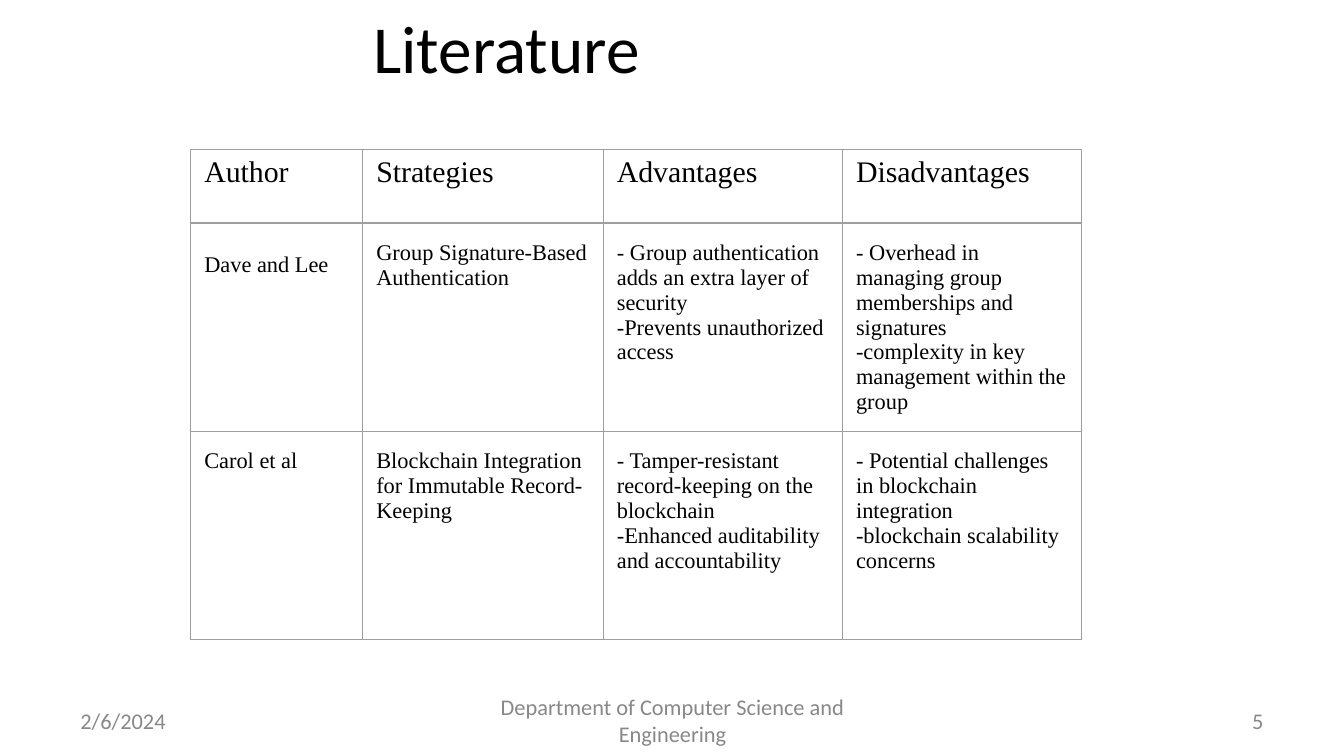
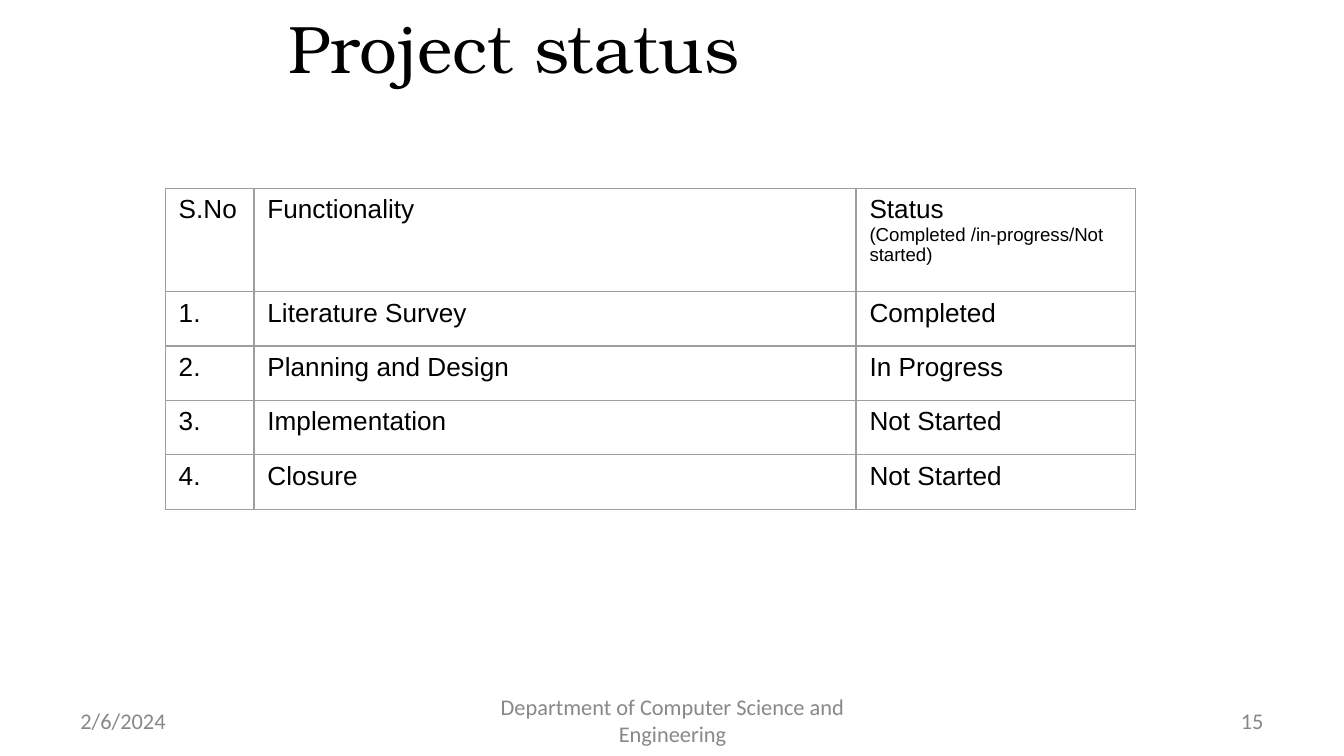
from lxml import etree
from pptx import Presentation
from pptx import util as u
from pptx.dml.color import RGBColor
from pptx.enum import text
from pptx.oxml.ns import qn

COLORS = {"text": "000000", "footer": "888888", "border": "9E9E9E"}
BORDER_WIDTH = 0.75
SLIDE_WIDTH = 10
SLIDE_HEIGHT = SLIDE_WIDTH * 9 / 16
TITLE_BOX = (0.48, 0, 6.69, 0.69)
FOOTER_TOP, FOOTER_HEIGHT = 5.21, 0.3
DATE = "2/6/2024"
DEPARTMENT = "Department of Computer Science and Engineering"
LEFT, CENTER, RIGHT = (text.PP_ALIGN.LEFT, text.PP_ALIGN.CENTER, text.PP_ALIGN.RIGHT)

LITERATURE_ROWS = [
    ["Author", "Strategies", "Advantages", "Disadvantages"],
    ["Dave and Lee",
     "Group Signature-Based Authentication",
     "- Group authentication adds an extra layer of security\n"
     "-Prevents unauthorized access",
     "- Overhead in managing group memberships and signatures\n"
     "-complexity in key management within the group"],
    ["Carol et al",
     "Blockchain Integration for Immutable Record-\nKeeping",
     "- Tamper-resistant record-keeping on the blockchain\n"
     "-Enhanced auditability and accountability",
     "- Potential challenges in blockchain integration\n"
     "-blockchain scalability concerns"],
]

STATUS_ROWS = [
    ["S.No", "Functionality", "Status\n(Completed /in-progress/Not started)"],
    ["1.", "Literature Survey", "Completed"],
    ["2.", "Planning and Design", "In Progress"],
    ["3.", "Implementation", "Not Started"],
    ["4.", "Closure", "Not Started"],
]


def format_font(font, name, size, color="text"):
    for attribute, value in {"name": name, "size": u.Pt(size)}.items():
        setattr(font, attribute, value)
    font.color.rgb = RGBColor.from_string(COLORS[color])


def add_text(slide, box, content, font, size, color="text", align=LEFT):
    frame = slide.shapes.add_textbox(*map(u.Inches, box)).text_frame
    frame.word_wrap = True
    frame.vertical_anchor = text.MSO_ANCHOR.MIDDLE
    paragraph = frame.paragraphs[0]
    paragraph.alignment = align
    run = paragraph.add_run()
    run.text = content
    format_font(run.font, font, size, color)


def add_title(slide, content, font):
    add_text(slide, TITLE_BOX, content, font, 36, align=CENTER)


def add_footer(slide, number):
    for left, width, content, align in (
        (0.5, 2.33, DATE, LEFT),
        (3.42, 3.17, DEPARTMENT, CENTER),
        (7.17, 2.33, str(number), RIGHT),
    ):
        box = (left, FOOTER_TOP, width, FOOTER_HEIGHT)
        add_text(slide, box, content, "Calibri", 12, "footer", align)


def add_borders(cell):
    properties = cell._tc.get_or_add_tcPr()
    for index, side in enumerate(("lnL", "lnR", "lnT", "lnB")):
        line = etree.Element(qn(f"a:{side}"), w=str(u.Pt(BORDER_WIDTH)))
        fill = etree.SubElement(line, qn("a:solidFill"))
        etree.SubElement(fill, qn("a:srgbClr"), val=COLORS["border"])
        properties.insert(index, line)


def fill_cell(cell, content, font, size):
    cell.text = content
    cell.fill.background()
    add_borders(cell)
    for paragraph in cell.text_frame.paragraphs:
        for run in paragraph.runs:
            format_font(run.font, font, size)


def add_grid(slide, position, height, widths, header_height, rows, font, sizes):
    """Add a table whose body rows share the height left under the header.

    sizes holds the header and body text sizes.
    """
    frame = slide.shapes.add_table(
        len(rows), len(widths), *map(u.Inches, (*position, sum(widths), height)))
    table = frame.table
    table.first_row = table.horz_banding = False
    for column, width in zip(table.columns, widths):
        column.width = u.Inches(width)
    body_height = (height - header_height) / (len(rows) - 1)
    for index, contents in enumerate(rows):
        table.rows[index].height = u.Inches(body_height if index else header_height)
        for cell, content in zip(table.rows[index].cells, contents):
            fill_cell(cell, content, font, sizes[min(index, 1)])
    return table


def add_literature_slide(slide):
    add_title(slide, "Literature ", "Calibri")
    table = add_grid(slide, (1.42, 1.11), 3.65, (1.28, 1.79, 1.78, 1.78), 0.55,
                     LITERATURE_ROWS, "Times New Roman", (16, 12))
    for row in list(table.rows)[1:]:
        for cell in row.cells:
            cell.margin_top = u.Inches(0.13)
            cell.margin_bottom = 0
    table.cell(1, 0).margin_top = u.Inches(0.22)
    add_footer(slide, 5)


def add_status_slide(slide):
    add_title(slide, "Project status", "TeX Gyre Bonum")
    table = add_grid(slide, (1.23, 1.4), 2.39, (0.66, 4.48, 2.08), 0.77,
                     STATUS_ROWS, "Arial", (14, 14))
    status_hint = table.cell(0, 2).text_frame.paragraphs[1]
    status_hint.runs[0].font.size = u.Pt(10)
    add_footer(slide, 15)


def main():
    presentation = Presentation()
    presentation.slide_width = u.Inches(SLIDE_WIDTH)
    presentation.slide_height = u.Inches(SLIDE_HEIGHT)
    blank = presentation.slide_layouts[6]
    for build in (add_literature_slide, add_status_slide):
        build(presentation.slides.add_slide(blank))
    presentation.save("out.pptx")


if __name__ == "__main__":
    main()
